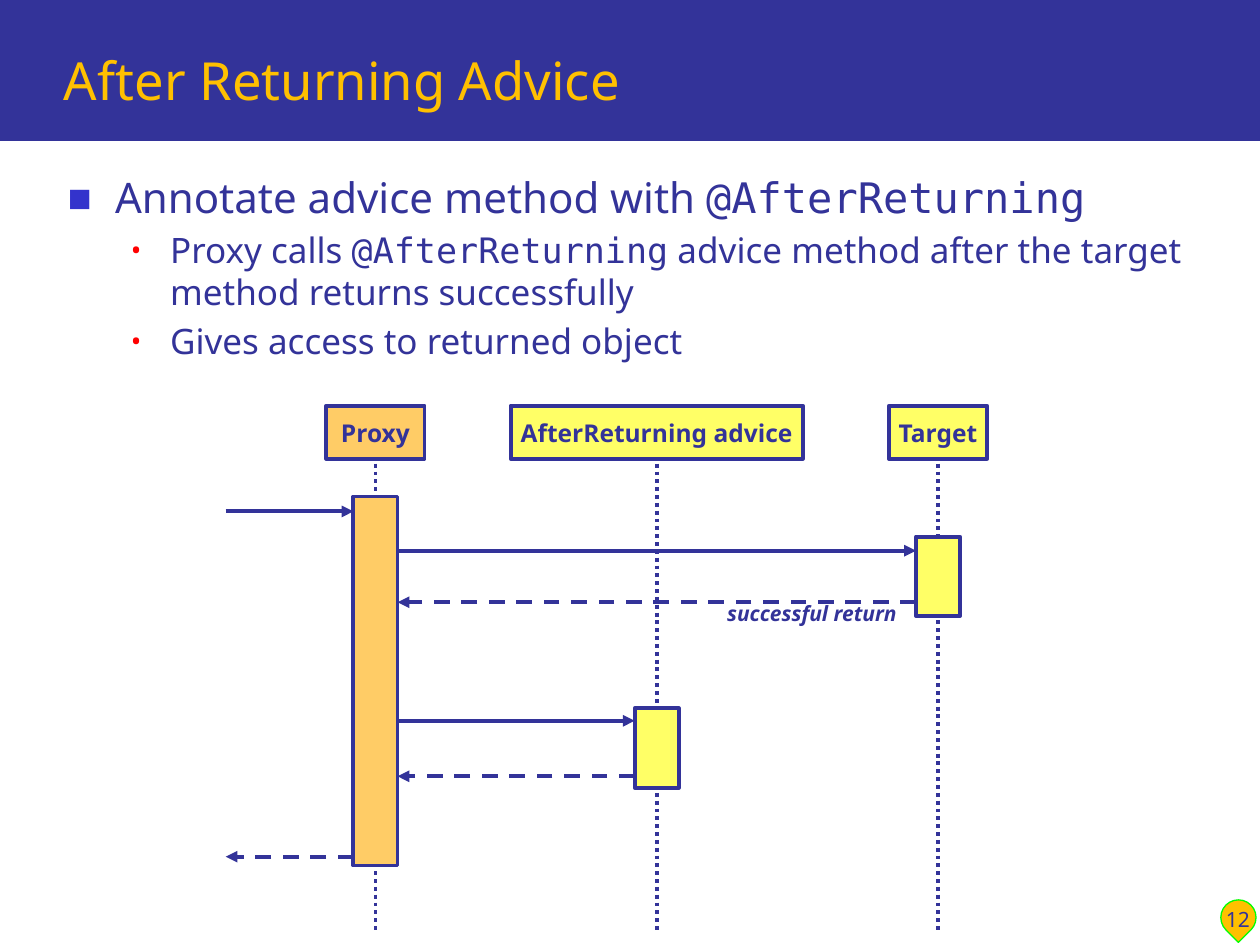
from lxml.etree import SubElement
from pptx import Presentation
from pptx.dml.color import RGBColor
from pptx.enum.dml import MSO_LINE
from pptx.enum.shapes import MSO_CONNECTOR, MSO_SHAPE
from pptx.enum.text import MSO_ANCHOR, PP_ALIGN
from pptx.oxml.ns import qn
from pptx.util import Cm, Pt

NAVY = RGBColor(0x33, 0x33, 0x99)
BLUE = RGBColor(0x33, 0x33, 0xCC)
RED = RGBColor(0xFF, 0x00, 0x00)
GREEN = RGBColor(0x00, 0xFF, 0x00)
GOLD = RGBColor(0xFF, 0xC0, 0x00)
ORANGE = RGBColor(0xFF, 0xCC, 0x66)
YELLOW = RGBColor(0xFF, 0xFF, 0x66)
SANS = "Noto Sans"
MONO = "DejaVu Sans Mono"


def add_block(page, kind, left, top, width, height, fill, line=None, weight=2.25):
    block = page.shapes.add_shape(kind, Cm(left), Cm(top), Cm(width), Cm(height))
    block.shadow.inherit = False
    block.fill.solid()
    block.fill.fore_color.rgb = fill
    if line is None:
        block.line.fill.background()
    else:
        block.line.color.rgb = line
        block.line.width = Pt(weight)
    return block


def add_box(page, left, top, width, height, anchor=MSO_ANCHOR.TOP, wrap=True):
    box = page.shapes.add_textbox(Cm(left), Cm(top), Cm(width), Cm(height))
    box.text_frame.word_wrap = wrap
    box.text_frame.vertical_anchor = anchor
    return box


def style(para, size, color=NAVY, bold=False, italic=False):
    font = para.font
    font.name, font.size, font.color.rgb = SANS, Pt(size), color
    font.bold, font.italic = bold, italic


def write(shape, text, size, color=NAVY, align=PP_ALIGN.LEFT, **look):
    para = shape.text_frame.paragraphs[0]
    para.text = text
    para.alignment = align
    style(para, size, color, **look)


def add_line(page, x1, y1, x2, y2, dash=None, arrow=False):
    line = page.shapes.add_connector(MSO_CONNECTOR.STRAIGHT, Cm(x1), Cm(y1), Cm(x2), Cm(y2))
    line.line.color.rgb = NAVY
    line.line.width = Pt(2.25)
    if dash is not None:
        line.line.dash_style = dash
    if arrow:
        SubElement(line.line._get_or_add_ln(), qn("a:tailEnd"), type="triangle")
    SubElement(line._element.spPr, qn("a:effectLst"))


def set_bullet(para, char, color, percent, left, hanging):
    props = para._p.get_or_add_pPr()
    props.set("marL", str(Cm(left)))
    props.set("indent", str(-Cm(hanging)))
    bullet_color = SubElement(props, qn("a:buClr"))
    SubElement(bullet_color, qn("a:srgbClr"), val=str(color))
    SubElement(props, qn("a:buSzPct"), val=str(percent * 1000))
    SubElement(props, qn("a:buFont"), typeface=SANS)
    SubElement(props, qn("a:buChar"), char=char)


def add_header(page, left, top, width, height):
    add_block(page, MSO_SHAPE.RECTANGLE, left, top, width, height, NAVY)
    title = add_box(page, left + 1.04, top + 0.43, width - 1.65, 1.93, MSO_ANCHOR.BOTTOM)
    write(title, "After Returning Advice", 30, GOLD)


def add_bullets(page, left, top, width, height):
    # Every second span of a point is code
    points = [
        (0, ["Annotate advice method with ", "@AfterReturning"]),
        (1, ["Proxy calls ", "@AfterReturning",
             " advice method after the target method returns successfully"]),
        (1, ["Gives access to returned object"]),
    ]
    levels = [
        (24, 9.6, ("■", BLUE, 60, 0.95, 0.95)),
        (20, 4, ("•", RED, 80, 2.06, 0.79)),
    ]
    frame = add_box(page, left, top, width, height).text_frame
    for number, (level, spans) in enumerate(points):
        size, before, bullet = levels[level]
        para = frame.add_paragraph() if number else frame.paragraphs[0]
        para.level = level
        para.space_before = Pt(before)
        set_bullet(para, *bullet)
        style(para, size)
        for index, text in enumerate(spans):
            span = para.add_run()
            span.text = text
            if index % 2:
                span.font.name = MONO


def add_sequence_diagram(page, left, top, width, height):
    bar = 0.89
    head_height = 1.07
    # Name, centre, head width, colour, activation top and height
    actors = [
        ("Proxy", 3.02, 1.98, ORANGE, 1.83, 7.44),
        ("AfterReturning advice", 8.69, 5.89, YELLOW, 6.1, 1.6),
        ("Target", 14.36, 1.98, YELLOW, 2.64, 1.6),
    ]

    # Lifelines
    for _, centre, *_ in actors:
        add_line(page, left + centre, top + head_height / 2,
                 left + centre, top + height, MSO_LINE.ROUND_DOT)

    # Heads
    for name, centre, head_width, color, *_ in actors:
        head = add_block(page, MSO_SHAPE.RECTANGLE, left + centre - head_width / 2, top,
                         head_width, head_height, color, NAVY)
        head.text_frame.word_wrap = False
        head.text_frame.vertical_anchor = MSO_ANCHOR.MIDDLE
        write(head, name, 14, align=PP_ALIGN.CENTER, bold=True)

    # Calls are solid, returns are dashed
    proxy_left, advice_left, target_left = (actor[1] - bar / 2 for actor in actors)
    proxy_right = proxy_left + bar
    messages = [
        (0, proxy_left, 2.13, None),
        (proxy_right, target_left, 2.92, None),
        (target_left, proxy_right, 3.96, MSO_LINE.DASH),
        (proxy_right, advice_left, 6.35, None),
        (advice_left, proxy_right, 7.47, MSO_LINE.DASH),
        (proxy_left, 0, 9.09, MSO_LINE.DASH),
    ]
    for start, end, y, dash in messages:
        add_line(page, left + start, top + y, left + end, top + y, dash, arrow=True)

    # Activations
    for _, centre, _, color, bar_top, bar_height in actors:
        add_block(page, MSO_SHAPE.RECTANGLE, left + centre - bar / 2, top + bar_top,
                  bar, bar_height, color, NAVY)

    label = add_box(page, left + 9.86, top + 3.81, 4.14, 0.76, wrap=False)
    write(label, "successful return", 12, bold=True, italic=True)


def add_page_number(page, left, top, width, height):
    drop = add_block(page, MSO_SHAPE.TEAR, left + 0.38, top + 0.51, 0.71, 0.71,
                     GOLD, GREEN, 0.75)
    drop.rotation = 135
    number = add_box(page, left, top, width, height, MSO_ANCHOR.BOTTOM)
    write(number, "12", 12, align=PP_ALIGN.CENTER)


def main():
    deck = Presentation()
    deck.slide_width, deck.slide_height = Cm(25.4), Cm(19.05)
    page = deck.slides.add_slide(deck.slide_layouts[6])
    add_header(page, 0, 0, 25.4, 2.84)
    add_bullets(page, 1.12, 3.33, 23.57, 13.72)
    add_sequence_diagram(page, 4.55, 8.18, 16.35, 10.62)
    add_page_number(page, 24.23, 17.63, 1.45, 1.27)
    deck.save("out.pptx")


if __name__ == "__main__":
    main()
